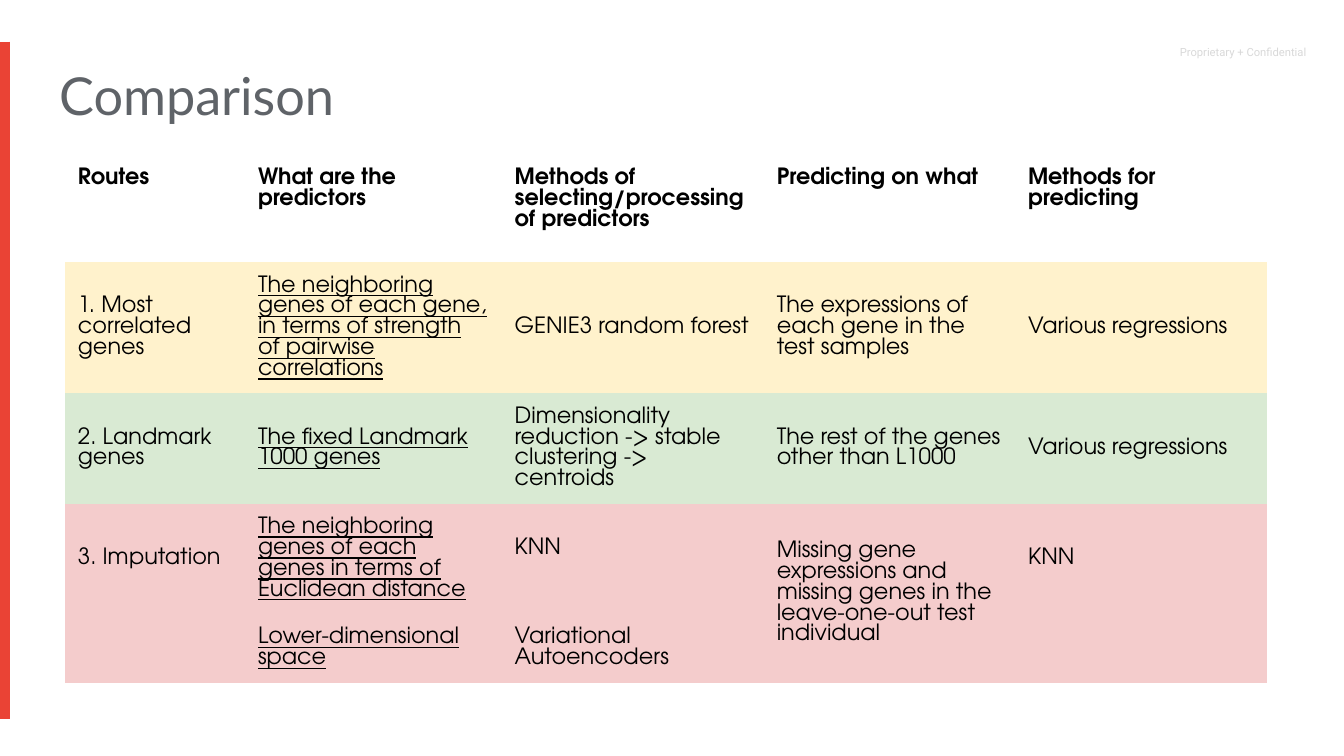
from dataclasses import dataclass

from lxml.etree import SubElement
from pptx import Presentation
from pptx.dml.color import RGBColor
from pptx.enum.shapes import MSO_CONNECTOR
from pptx.enum.text import MSO_ANCHOR, MSO_AUTO_SIZE, PP_ALIGN
from pptx.oxml.ns import qn
from pptx.slide import Slide
from pptx.table import Table, _Cell
from pptx.text.text import TextFrame
from pptx.util import Inches, Pt

COLORS = {
    "title": "5F6368",
    "notice": "D9D9D9",
    "accent": "EA4335",
    "text": "000000",
    "yellow": "FFF2CC",
    "green": "D9EAD3",
    "red": "F4CCCC",
}
MARGINS = {
    "margin_left": Inches(0.1),
    "margin_top": Inches(0.1),
    "margin_right": Inches(0.1),
    "margin_bottom": Inches(0.1),
}
FRAME_FORMAT = {
    **MARGINS,
    "word_wrap": True,
    "auto_size": MSO_AUTO_SIZE.NONE,
    "vertical_anchor": MSO_ANCHOR.TOP,
}
TITLE_FONT = {"name": "Lato", "size": Pt(28), "bold": False}
NOTICE_FONT = {"name": "Roboto", "size": Pt(6)}
BODY_FONT = {"name": "TeX Gyre Adventor", "size": Pt(12), "bold": False}
HEADER_FONT = {**BODY_FONT, "bold": True}
PREDICTOR_FONT = {**BODY_FONT, "underline": True}
PREDICTOR_COLUMN = 1
NO_TABLE_STYLE = "{2D5ABB26-0587-4C30-8999-92F81FD0307C}"
COLUMN_WIDTHS = (1.34, 1.91, 1.95, 1.87, 1.88)


@dataclass
class Row:
    height: float
    texts: tuple[str, ...]
    fill: str = ""


ROWS = (
    Row(0.8, (
        "Routes",
        "What are the predictors",
        "Methods of selecting/processing of predictors",
        "Predicting on what",
        "Methods for predicting",
    )),
    Row(0.8, (
        "1. Most correlated genes",
        "The neighboring genes of each gene, in terms of strength of pairwise correlations",
        "GENIE3 random forest",
        "The expressions of each gene in the test samples",
        "Various regressions",
    ), "yellow"),
    Row(0.8, (
        "2. Landmark genes",
        "The fixed Landmark 1000 genes",
        "Dimensionality reduction -> stable clustering -> centroids",
        "The rest of the genes other than L1000",
        "Various regressions",
    ), "green"),
    Row(0.42, (
        "3. Imputation",
        "The neighboring genes of each genes in terms of Euclidean distance",
        "KNN",
        "Missing gene expressions and\nmissing genes in the leave-one-out test individual",
        "KNN",
    ), "red"),
    Row(0.42, ("", "Lower-dimensional space", "Variational Autoencoders", "", ""), "red"),
)


def apply_format(target: object, values: dict) -> None:
    for name, value in values.items():
        setattr(target, name, value)


def write_text(frame: TextFrame, text: str, font: dict, color: str) -> None:
    frame.text = text
    for paragraph in frame.paragraphs:
        paragraph.alignment = PP_ALIGN.LEFT
        for run in paragraph.runs:
            apply_format(run.font, font)
            run.font.color.rgb = RGBColor.from_string(COLORS[color])


def add_title(slide: Slide) -> None:
    title = slide.shapes.title
    apply_format(title, {
        "left": Inches(0.34),
        "top": Inches(0.37),
        "width": Inches(9.32),
        "height": Inches(0.58),
    })
    apply_format(title.text_frame, FRAME_FORMAT)
    write_text(title.text_frame, "Comparison", TITLE_FONT, "title")


def add_notice(slide: Slide) -> None:
    notice = slide.shapes.add_textbox(Inches(8.68), Inches(0.24), Inches(1.32), Inches(0.33))
    apply_format(notice.text_frame, FRAME_FORMAT)
    write_text(notice.text_frame, "Proprietary + Confidential", NOTICE_FONT, "notice")


def add_accent_line(slide: Slide) -> None:
    line = slide.shapes.add_connector(
        MSO_CONNECTOR.STRAIGHT, Inches(0.03), Inches(0.31), Inches(0.03), Inches(5.35)
    )
    line.line.color.rgb = RGBColor.from_string(COLORS["accent"])
    line.line.width = Pt(6)
    SubElement(line._element.spPr, qn("a:effectLst"))


def fill_cell(cell: _Cell, text: str, font: dict, row: Row) -> None:
    apply_format(cell, MARGINS)
    if row.fill:
        cell.vertical_anchor = MSO_ANCHOR.MIDDLE
        cell.fill.solid()
        cell.fill.fore_color.rgb = RGBColor.from_string(COLORS[row.fill])
    else:
        cell.vertical_anchor = MSO_ANCHOR.TOP
        cell.fill.background()
    write_text(cell.text_frame, text, font, "text")


def add_comparison_table(slide: Slide) -> Table:
    table = slide.shapes.add_table(
        len(ROWS), len(COLUMN_WIDTHS), Inches(0.48), Inches(1.15),
        Inches(sum(COLUMN_WIDTHS)), Inches(sum(row.height for row in ROWS)),
    ).table
    apply_format(table, {"first_row": False, "horz_banding": False})
    table._tbl.tblPr.find(qn("a:tableStyleId")).text = NO_TABLE_STYLE
    for column, width in zip(table.columns, COLUMN_WIDTHS):
        column.width = Inches(width)
    for row_index, row in enumerate(ROWS):
        table.rows[row_index].height = Inches(row.height)
        for column_index, text in enumerate(row.texts):
            if row_index == 0:
                font = HEADER_FONT
            else:
                font = PREDICTOR_FONT if column_index == PREDICTOR_COLUMN else BODY_FONT
            fill_cell(table.cell(row_index, column_index), text, font, row)
    table.cell(3, 2).margin_bottom = Inches(0.25)
    table.cell(3, 3).merge(table.cell(4, 3))
    return table


def main() -> None:
    presentation = Presentation()
    presentation.slide_width = Inches(10)
    presentation.slide_height = presentation.slide_width * 9 // 16
    slide = presentation.slides.add_slide(presentation.slide_layouts.get_by_name("Title Only"))
    add_notice(slide)
    add_title(slide)
    add_accent_line(slide)
    add_comparison_table(slide)
    presentation.save("out.pptx")


if __name__ == "__main__":
    main()
